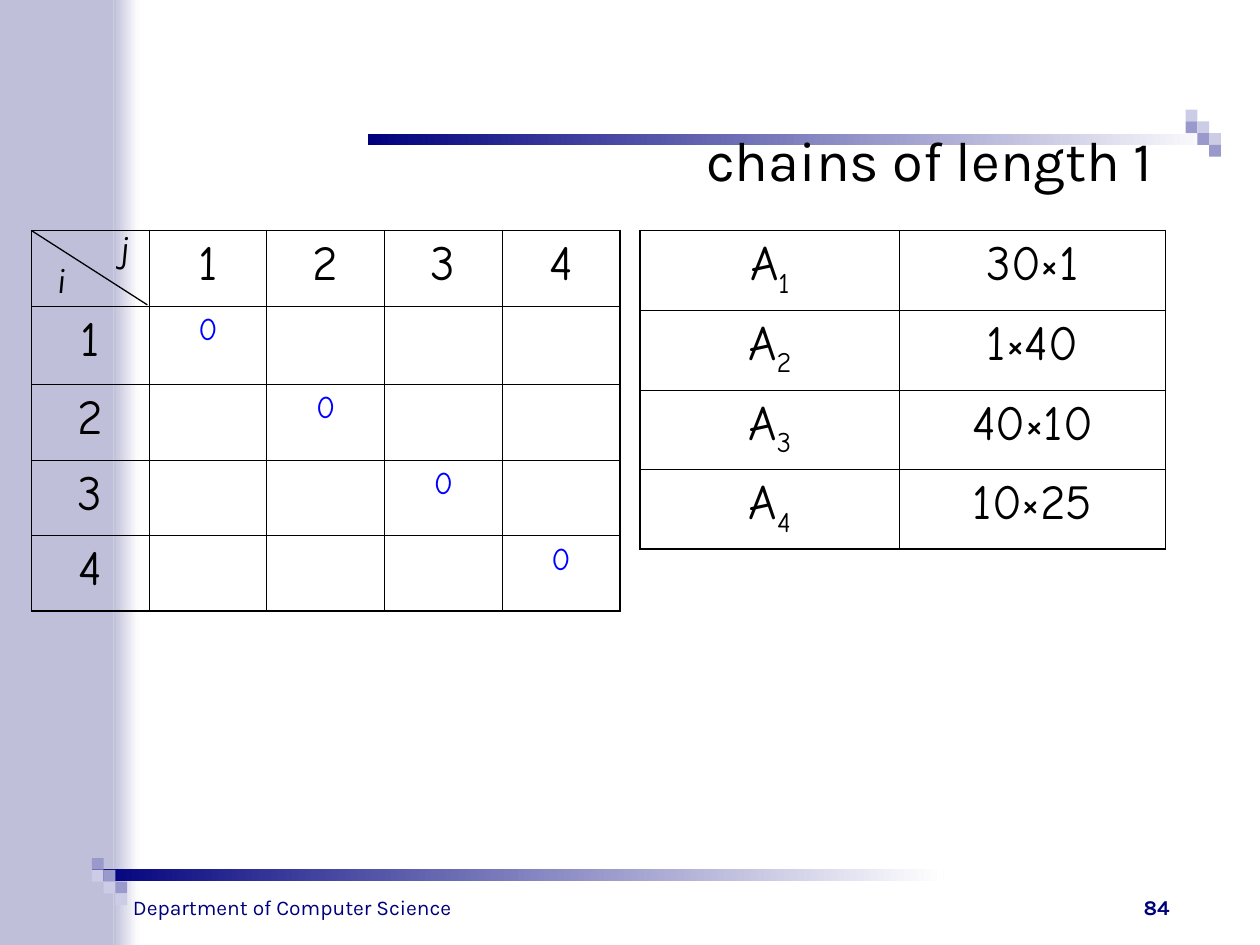
from dataclasses import dataclass

from lxml import etree
from pptx import Presentation
from pptx.dml.color import RGBColor
from pptx.enum import shapes, text
from pptx.oxml import ns
from pptx.util import Inches, Pt


@dataclass(frozen=True)
class Theme:
    navy: str = "00007D"
    band: str = "BFBFDA"
    mid: str = "9999CC"
    pale: str = "CCCCE6"
    white: str = "FFFFFF"
    ink: str = "000000"
    blue: str = "0000FF"
    sans: str = "Karla"
    hand: str = "Comic Neue"
    title: int = 32
    label: int = 28
    index: int = 20
    value: int = 18
    small: int = 12
    thick: float = 1.08
    thin: float = 0.45
    line: float = 0.75


T = Theme()
LEFT, MID, RIGHT = text.PP_ALIGN.LEFT, text.PP_ALIGN.CENTER, text.PP_ALIGN.RIGHT


def rgb(code):
    return RGBColor.from_string(code)


def inch(*sizes):
    return [Inches(size) for size in sizes]


def write(para, words, font, size, color, bold=False, slant=False):
    run = para.add_run()
    run.text = words
    run.font.name = font
    run.font.size = Pt(size)
    run.font.color.rgb = rgb(color)
    run.font.bold = bold
    run.font.italic = slant
    return run


def block(slide, box, *colors):
    shape = slide.shapes.add_shape(shapes.MSO_SHAPE.RECTANGLE, *inch(*box))
    shape.shadow.inherit = False
    shape.line.fill.background()
    if len(colors) == 1:
        shape.fill.solid()
        shape.fill.fore_color.rgb = rgb(colors[0])
    else:
        shape.fill.gradient()
        shape.fill.gradient_angle = 0
        for stop, color in zip(shape.fill.gradient_stops, colors):
            stop.color.rgb = rgb(color)


def label(slide, box, words, size, color, align=LEFT, wrap=False, **style):
    frame = slide.shapes.add_textbox(*inch(*box)).text_frame
    frame.word_wrap = wrap
    para = frame.paragraphs[0]
    para.alignment = align
    write(para, words, T.sans, size, color, **style)
    return frame


def side(slide, box):
    left, top, width, height = box
    fade = 0.2
    block(slide, (left + width - fade, top, fade, height), T.band, T.white)
    block(slide, (left, top, width - fade, height), T.band)


def rule(slide, box, corner, upper, lower):
    block(slide, box, T.navy, T.white)
    left, top = corner
    step = 0.28 / 3
    for n in range(3):
        for row, color in ((n, upper), (n + 1, lower)):
            spot = (left + n * step, top + row * step, step, step)
            block(slide, spot, color)


def heading(slide, box, words):
    title = slide.shapes.title
    title.left, title.top, title.width, title.height = inch(*box)
    slide.shapes.element.append(title.element)
    frame = title.text_frame
    frame.auto_size = text.MSO_AUTO_SIZE.NONE
    frame.vertical_anchor = text.MSO_ANCHOR.BOTTOM
    para = frame.paragraphs[0]
    para.alignment = RIGHT
    write(para, words, T.sans, T.title, T.ink)


def edge(cell, name, width):
    props = cell._tc.get_or_add_tcPr()
    line = etree.SubElement(props, ns.qn("a:" + name), w=str(Pt(width)))
    fill = etree.SubElement(line, ns.qn("a:solidFill"))
    etree.SubElement(fill, ns.qn("a:srgbClr"), val=T.ink)


def grid(slide, box, cols, rows):
    frame = slide.shapes.add_table(len(rows), len(cols), *inch(*box))
    table = frame.table
    table.first_row = table.horz_banding = False
    for col, width in zip(table.columns, cols):
        col.width = Inches(width)
    for row, height in zip(table.rows, rows):
        row.height = Inches(height)
    for r in range(len(rows)):
        for c in range(len(cols)):
            cell = table.cell(r, c)
            outer = {"lnL": c == 0, "lnR": c == len(cols) - 1,
                     "lnT": r == 0, "lnB": r == len(rows) - 1}
            for name, thick in outer.items():
                edge(cell, name, T.thick if thick else T.thin)
            cell.fill.background()
    return table


def entry(cell, words, size=T.label, color=T.ink, sub=""):
    para = cell.text_frame.paragraphs[0]
    para.alignment = MID
    para.space_before = Pt(size / 4)
    write(para, words, T.hand, size, color)
    if sub:
        run = write(para, sub, T.hand, size, color)
        run.font._element.set("baseline", "-25000")


def costs(slide, box):
    left, top, width, height = box
    count = 5
    table = grid(slide, box, [width / count] * count, [0.6, 0.62, 0.6, 0.6, 0.6])
    for n in range(1, count):
        entry(table.cell(0, n), str(n))
        entry(table.cell(n, 0), str(n))
        entry(table.cell(n, n), "0", T.value, T.blue)
    ends = inch(left, top, left + 0.92, top + 0.59)
    line = slide.shapes.add_connector(shapes.MSO_CONNECTOR.STRAIGHT, *ends)
    line.line.color.rgb = rgb(T.ink)
    line.line.width = Pt(T.line)
    etree.SubElement(line.element.spPr, ns.qn("a:effectLst"))
    for name, across, down in (("i", 0.1, 0.17), ("j", 0.6, -0.08)):
        spot = (left + across, top + down, 0.27, 0.44)
        label(slide, spot, name, T.index, T.ink, slant=True)


def sizes(slide, box):
    dims = ["30×1", "1×40", "40×10", "10×25"]
    table = grid(slide, box, [2.06, 2.11], [box[3] / len(dims)] * len(dims))
    for n, dim in enumerate(dims):
        entry(table.cell(n, 0), "A", sub=str(n + 1))
        entry(table.cell(n, 1), dim)


def footer(slide, box):
    left, top, width, height = box
    label(slide, (left, top + 0.2, 2.82, 0.3), "Department of Computer Science",
          T.small, T.navy, MID).paragraphs[0].space_before = Pt(3)
    page = label(slide, (left + width - 0.64, top, 0.64, height), "84",
                 T.small, T.navy, MID, wrap=True, bold=True)
    page.vertical_anchor = text.MSO_ANCHOR.BOTTOM


def main():
    deck = Presentation()
    deck.slide_width, deck.slide_height = inch(10, 7.5)
    slide = deck.slides.add_slide(deck.slide_layouts[5])
    side(slide, (0, 0, 1.1, 7.5))
    rule(slide, (0.73, 6.9, 6.76, 0.09), (0.73, 6.81), T.mid, T.pale)
    rule(slide, (2.92, 1.06, 6.76, 0.09), (9.41, 0.87), T.pale, T.mid)
    footer(slide, (0.91, 6.85, 8.59, 0.5))
    heading(slide, (0.75, 0.33, 8.5, 1.25), "chains of length 1")
    costs(slide, (0.25, 1.83, 4.67, 3.02))
    sizes(slide, (5.08, 1.83, 4.17, 2.53))
    deck.save("out.pptx")


if __name__ == "__main__":
    main()
